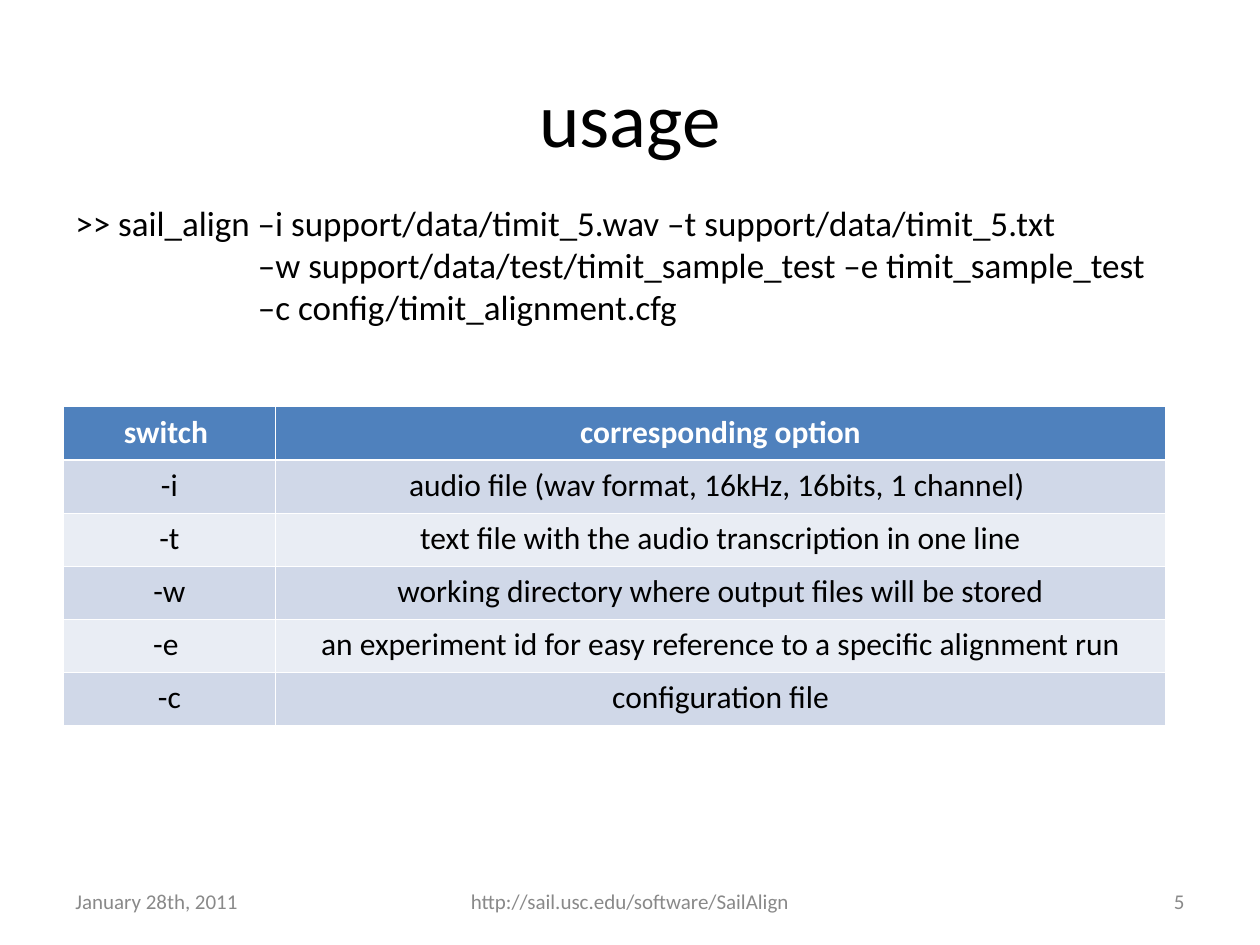
from lxml import etree
from pptx import Presentation
from pptx.dml.color import RGBColor
from pptx.enum.text import MSO_ANCHOR, PP_ALIGN
from pptx.oxml.ns import qn
from pptx.util import Cm, Pt

LEFT, MID, RIGHT = PP_ALIGN.LEFT, PP_ALIGN.CENTER, PP_ALIGN.RIGHT
TOP, CENTRE = MSO_ANCHOR.TOP, MSO_ANCHOR.MIDDLE
FONT = "Calibri"
HUES = {
    "ink": "000000",
    "paper": "FFFFFF",
    "grey": "898989",
    "head": "4F81BD",
    "dark": "D0D8E8",
    "light": "E9EDF4",
}
CODE = [
    (">> sail_align –i support/data/timit_5.wav –t support/data/timit_5.txt", 0),
    ("–w support/data/test/timit_sample_test –e timit_sample_test", 3.68),
    ("–c config/timit_alignment.cfg", 3.68),
]
ROWS = [
    ("switch ", "corresponding option"),
    ("-i", "audio file (wav format, 16kHz, 16bits, 1 channel) "),
    ("-t", "text file with the audio transcription in one line"),
    ("-w", "working directory where output files will be stored"),
    ("-e ", "an experiment id for easy reference to a specific alignment run"),
    ("-c", "configuration file"),
]
FOOT = [
    ("January 28th, 2011", 1.27, 5.93, LEFT),
    ("http://sail.usc.edu/software/SailAlign", 8.68, 8.04, MID),
    ("5", 18.2, 5.93, RIGHT),
]


def hue(name):
    return RGBColor.from_string(HUES[name])


def write(para, text, size, tint, align=LEFT, bold=False):
    para.alignment = align
    run = para.add_run()
    run.text = text
    run.font.name = FONT
    run.font.size = Pt(size)
    run.font.bold = bold
    run.font.color.rgb = hue(tint)


def add_title(slide, text):
    title = slide.shapes.title
    title.left, title.top = Cm(1.27), Cm(0.76)
    title.width, title.height = Cm(22.86), Cm(3.18)
    frame = title.text_frame
    frame.vertical_anchor = CENTRE
    write(frame.paragraphs[0], text, 44, "ink", MID)


def add_box(slide, left, top, width, height, anchor):
    box = slide.shapes.add_textbox(Cm(left), Cm(top), Cm(width), Cm(height))
    frame = box.text_frame
    frame.word_wrap = True
    frame.vertical_anchor = anchor
    return frame


def add_code(slide):
    frame = add_box(slide, 1.27, 3.94, 23.06, 2.79, TOP)
    for i, (text, inset) in enumerate(CODE):
        para = frame.add_paragraph() if i else frame.paragraphs[0]
        para._p.get_or_add_pPr().set("marL", str(Cm(inset)))
        write(para, text, 20, "ink")


def add_edge(cell, side, width):
    props = cell._tc.get_or_add_tcPr()
    line = etree.SubElement(props, qn("a:ln" + side), w=str(Pt(width)))
    fill = etree.SubElement(line, qn("a:solidFill"))
    etree.SubElement(fill, qn("a:srgbClr"), val=HUES["paper"])


def add_grid(slide):
    shape = slide.shapes.add_table(
        len(ROWS), 2, Cm(1.27), Cm(8.2), Cm(22.22), Cm(6.4)
    )
    table = shape.table
    for col, width in zip(table.columns, (4.29, 17.93)):
        col.width = Cm(width)
    for r, texts in enumerate(ROWS):
        table.rows[r].height = Cm(1.07)
        band = "head" if r == 0 else "dark" if r % 2 else "light"
        for c, text in enumerate(texts):
            cell = table.cell(r, c)
            for side in "LRTB":
                thick = (r, side) in ((0, "B"), (1, "T"))
                add_edge(cell, side, 1.47 if thick else 0.45)
            cell.fill.solid()
            cell.fill.fore_color.rgb = hue(band)
            tint = "ink" if r else "paper"
            write(cell.text_frame.paragraphs[0], text, 18, tint, MID, r == 0)


def add_foot(slide):
    for text, left, width, align in FOOT:
        frame = add_box(slide, left, 17.65, width, 1.02, CENTRE)
        write(frame.paragraphs[0], text, 12, "grey", align)


def main():
    deck = Presentation()
    deck.slide_width, deck.slide_height = Cm(25.4), Cm(19.05)
    slide = deck.slides.add_slide(deck.slide_layouts[5])
    add_title(slide, "usage")
    add_foot(slide)
    add_code(slide)
    add_grid(slide)
    deck.save("out.pptx")


if __name__ == "__main__":
    main()
